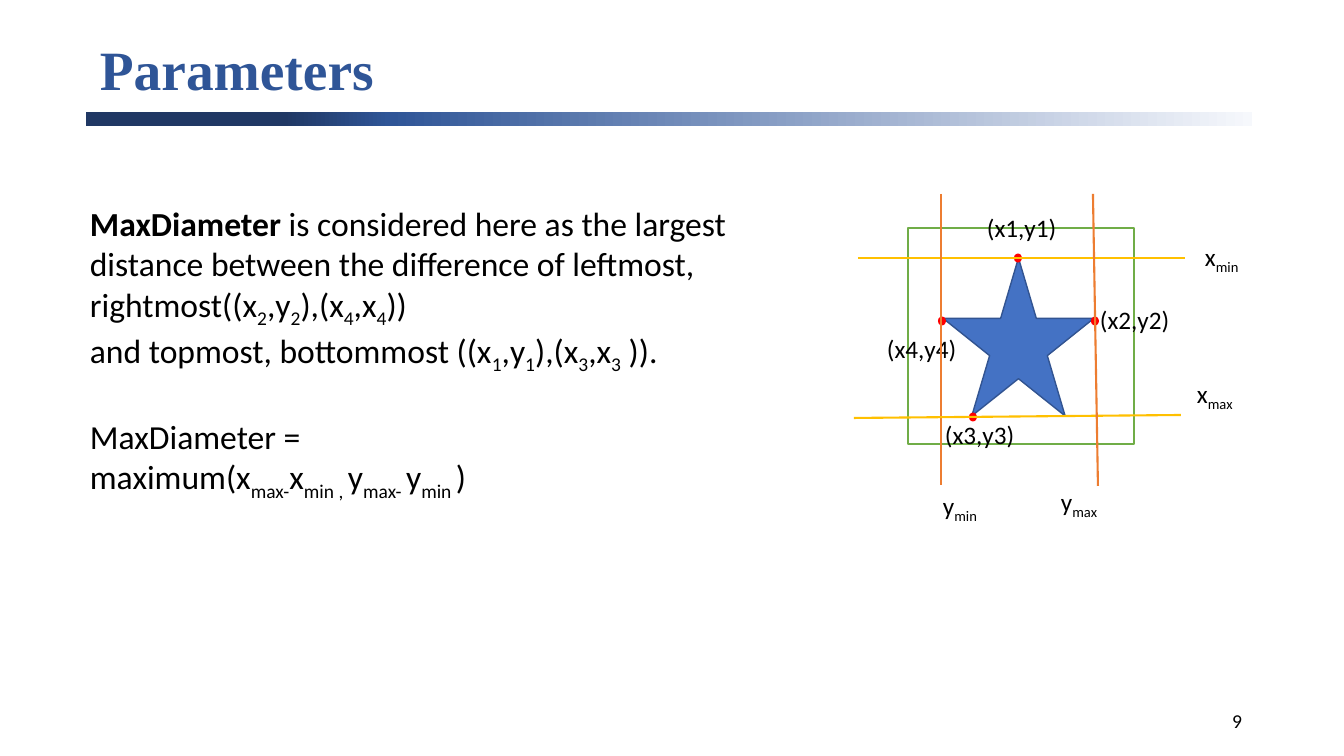
"""Build the Parameters slide, which defines MaxDiameter beside an annotated star."""
from lxml.etree import SubElement
from pptx import Presentation
from pptx.dml.color import RGBColor
from pptx.enum.shapes import MSO_CONNECTOR, MSO_SHAPE
from pptx.enum.text import MSO_ANCHOR, PP_ALIGN
from pptx.oxml.ns import qn
from pptx.util import Pt

NAVY = RGBColor(0x20, 0x38, 0x64)
BLUE = RGBColor(0x2F, 0x55, 0x97)
PALE = RGBColor(0xF6, 0xF8, 0xFC)
WHITE = RGBColor(0xFF, 0xFF, 0xFF)
BLACK = RGBColor(0x00, 0x00, 0x00)
GREEN = RGBColor(0x70, 0xAD, 0x47)
STAR_BLUE = RGBColor(0x44, 0x72, 0xC4)
STAR_EDGE = RGBColor(0x32, 0x54, 0x91)
RED = RGBColor(0xFF, 0x00, 0x00)
GOLD = RGBColor(0xFF, 0xC0, 0x00)
ORANGE = RGBColor(0xED, 0x7D, 0x31)

SLIDE_SIZE = (1344, 756)
EMU_PER_PX = 12192000 / 1344

TITLE = ("Parameters", (90, 37, 1159, 72))
PAGE_NUMBER = ("9", (950, 701, 302, 40))
BAR = (86, 112, 1166, 14)
BAR_STOPS = [(0, NAVY), (17, NAVY), (26, BLUE), (100, PALE)]

# Text between bars alternates: normal, subscript, normal and so on.
DEFINITION_BOX = (80, 198, 734, 295)
DEFINITION = [
    ("MaxDiameter", " is considered here as the largest distance between the difference of "
     "leftmost, rightmost((x|2|,y|2|),(x|4|,x|4|))", 0),
    ("", "and topmost, bottommost ((x|1|,y|1|),(x|3|,x|3| )).", 0),
    ("", "MaxDiameter =", 29),
    ("", "maximum(x|max-|x|min , |y|max- |y|min |)", 0),
]

FRAME = (908, 228, 226, 216)
STAR = (943, 258, 151, 158)
DOT_SIZE = (8, 9)
EXTREMES = [
    ("(x1,y1)", (977, 207), (1018, 258)),
    ("(x2,y2)", (1090, 299), (1095, 321)),
    ("(x3,y3)", (935, 414), (973, 417)),
    ("(x4,y4)", (877, 328), (942, 321)),
]
BOUNDS = [
    ("x|min", (1195, 236), (858, 258, 1185, 258), GOLD),
    ("y|min", (933, 485), (941, 194, 941, 485), ORANGE),
    ("x|max", (1187, 373), (854, 418, 1181, 415), GOLD),
    ("y|max", (1051, 481), (1098, 486, 1093, 194), ORANGE),
]
LABEL_SIZE = (118, 54)


def emu(lengths):
    return [round(length * EMU_PER_PX) for length in lengths]


def apply(target, formats):
    for name, value in formats.items():
        setattr(target, name, value)


def add_runs(paragraph, marked, size, color=BLACK, font="Calibri", bold=False):
    for index, piece in enumerate(marked.split("|")):
        run = paragraph.add_run()
        run.text = piece
        apply(run.font, {"size": Pt(size), "name": font, "bold": bold})
        run.font.color.rgb = color
        if index % 2:
            run._r.get_or_add_rPr().set("baseline", "-25000")


def add_frame(slide, box, anchor=MSO_ANCHOR.TOP):
    frame = slide.shapes.add_textbox(*emu(box)).text_frame
    apply(frame, {"word_wrap": True, "vertical_anchor": anchor})
    return frame


def add_label(slide, marked, corner):
    add_runs(add_frame(slide, corner + LABEL_SIZE).paragraphs[0], marked, 18)


def add_figure(slide, preset, box, fill, edge=None):
    figure = slide.shapes.add_shape(preset, *emu(box))
    figure.shadow.inherit = False
    figure.fill.solid()
    figure.fill.fore_color.rgb = fill
    if edge is None:
        figure.line.fill.background()
    else:
        figure.line.color.rgb = edge
        figure.line.width = Pt(1)
    return figure


def add_bar(slide):
    bar = add_figure(slide, MSO_SHAPE.RECTANGLE, BAR, NAVY)
    bar.fill.gradient()
    bar.fill.gradient_angle = 0
    stops = bar._element.spPr.find(qn("a:gradFill")).find(qn("a:gsLst"))
    for stop in list(stops):
        stops.remove(stop)
    for percent, color in BAR_STOPS:
        stop = SubElement(stops, qn("a:gs"), pos=str(percent * 1000))
        SubElement(stop, qn("a:srgbClr"), val=str(color))


def add_bound(slide, ends, color):
    bound = slide.shapes.add_connector(MSO_CONNECTOR.STRAIGHT, *emu(ends))
    bound.line.color.rgb = color
    bound.line.width = Pt(1.5)
    SubElement(bound._element.spPr, qn("a:effectLst"))


def add_definition(slide):
    frame = add_frame(slide, DEFINITION_BOX)
    for index, (term, wording, gap) in enumerate(DEFINITION):
        paragraph = frame.add_paragraph() if index else frame.paragraphs[0]
        paragraph.space_before = Pt(gap)
        if term:
            add_runs(paragraph, term, 24, bold=True)
        add_runs(paragraph, wording, 24)


def add_star_diagram(slide):
    add_figure(slide, MSO_SHAPE.RECTANGLE, FRAME, WHITE, GREEN)
    add_figure(slide, MSO_SHAPE.STAR_5_POINT, STAR, STAR_BLUE, STAR_EDGE)
    for label, corner, _ in EXTREMES:
        add_label(slide, label, corner)
    width, height = DOT_SIZE
    for _, _, (x, y) in EXTREMES:
        add_figure(slide, MSO_SHAPE.OVAL, (x - width / 2, y - height / 2, width, height), RED)
    for _, _, ends, color in BOUNDS:
        add_bound(slide, ends, color)
    for label, corner, _, _ in BOUNDS:
        add_label(slide, label, corner)


def main():
    deck = Presentation()
    deck.slide_width, deck.slide_height = emu(SLIDE_SIZE)
    slide = deck.slides.add_slide(deck.slide_layouts[6])
    add_bar(slide)

    heading, heading_box = TITLE
    title = add_frame(slide, heading_box, MSO_ANCHOR.MIDDLE).paragraphs[0]
    title.line_spacing = 0.9
    add_runs(title, heading, 39.6, BLUE, "Times New Roman", True)

    number, number_box = PAGE_NUMBER
    page = add_frame(slide, number_box, MSO_ANCHOR.MIDDLE).paragraphs[0]
    page.alignment = PP_ALIGN.RIGHT
    add_runs(page, number, 14)

    add_star_diagram(slide)
    add_definition(slide)
    deck.save("out.pptx")


if __name__ == "__main__":
    main()
